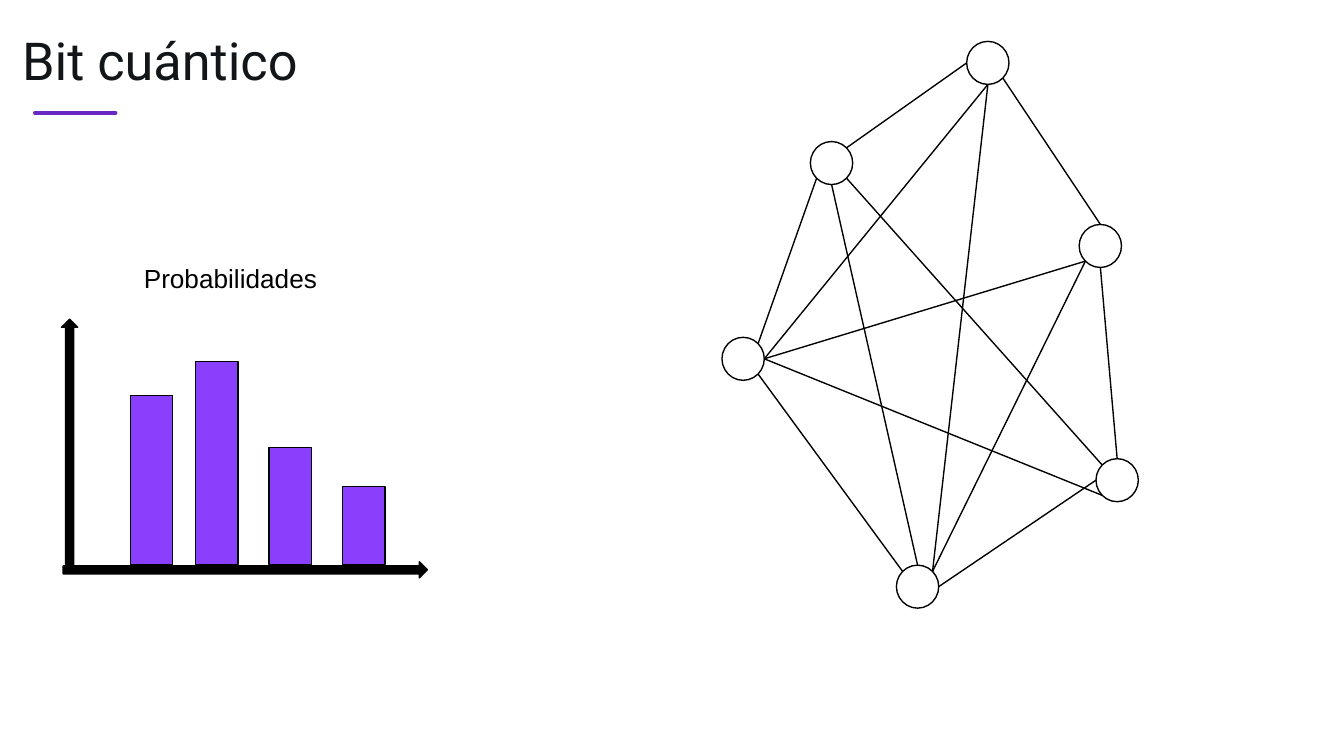
from math import cos, pi, sin

from lxml import etree
from pptx import Presentation
from pptx import util as u
from pptx.dml.color import RGBColor
from pptx.enum import shapes, text
from pptx.oxml.ns import qn

THEME = {
    "ink": RGBColor.from_string("000000"),
    "paper": RGBColor.from_string("FFFFFF"),
    "bar": RGBColor.from_string("8A3FFC"),
    "accent": RGBColor.from_string("6928C3"),
    "title": dict(name="Roboto", size=u.Pt(28), color=RGBColor.from_string("121619")),
    "label": dict(name="Arial", size=u.Pt(14), color=RGBColor.from_string("000000")),
    "thin": u.Pt(0.75),
    "thick": u.Pt(2),
}

prs = Presentation()
prs.slide_width = u.Inches(10)
prs.slide_height = prs.slide_width * 9 // 16
s = prs.slides.add_slide(prs.slide_layouts[6])

# The slide is a grid of 100 columns by 56.25 rows
COL, ROW = prs.slide_width / 100, prs.slide_height / 56.25


def add_solid(kind, x, y, w, h, fill):
    sp = s.shapes.add_shape(kind, *map(round, (x * COL, y * ROW, w * COL, h * ROW)))
    sp.shadow.inherit = False
    sp.fill.solid()
    sp.fill.fore_color.rgb = fill
    sp.line.color.rgb = THEME["ink"]
    sp.line.width = THEME["thin"]
    return sp


def add_line(start, end, color, width):
    (x1, y1), (x2, y2) = start, end
    cx = s.shapes.add_connector(
        shapes.MSO_CONNECTOR.STRAIGHT, *map(round, (x1 * COL, y1 * ROW, x2 * COL, y2 * ROW)))
    cx.line.color.rgb = color
    cx.line.width = width
    etree.SubElement(cx._element.spPr, qn("a:effectLst"))
    return cx


# Heading and chart label
rule = add_line((2.6, 8.4), (8.6, 8.4), THEME["accent"], THEME["thick"])
rule._element.spPr.find(qn("a:ln")).set("cap", "rnd")

for words, style, spacing, box in (
    ("Bit cuántico", "title", 0.9, (1.65, 2.6, 65.5, 4.1)),
    ("Probabilidades", "label", 1.1, (10.7, 19.3, 13.2, 5.8)),
):
    x, y, w, h = box
    tf = s.shapes.add_textbox(*map(round, (x * COL, y * ROW, w * COL, h * ROW))).text_frame
    frame = dict(word_wrap=True, vertical_anchor=text.MSO_ANCHOR.TOP,
                 margin_left=0, margin_top=0, margin_right=0, margin_bottom=0)
    for key, value in frame.items():
        setattr(tf, key, value)
    p = tf.paragraphs[0]
    p.line_spacing = spacing
    r = p.add_run()
    r.text = words
    for key, value in THEME[style].items():
        if key == "color":
            r.font.color.rgb = value
        else:
            setattr(r.font, key, value)

# Probability bars stand on one baseline
BASE, BAR_W = 42.02, 3.15
for x, height in ((9.7, 12.6), (14.57, 15.1), (20.03, 8.7), (25.5, 5.8)):
    add_solid(shapes.MSO_SHAPE.RECTANGLE, x, BASE - height, BAR_W, height, THEME["bar"])

# Axes
for x, y, length, turn in ((4.7, 41.8, 27.1, 0), (-3.97, 32.3, 18.3, 270)):
    axis = add_solid(shapes.MSO_SHAPE.RIGHT_ARROW, x, y, length, 1.2, THEME["ink"])
    axis.rotation = turn

# Graph nodes by their top left corner
NODE_W, NODE_H = 3.15, 3.2
nodes = {
    "upper left": (60.3, 10.53),
    "upper right": (80.3, 16.7),
    "left": (53.72, 25.1),
    "bottom": (66.7, 42.05),
    "top": (71.93, 3.08),
    "lower right": (81.55, 34.13),
}
for x, y in nodes.values():
    add_solid(shapes.MSO_SHAPE.OVAL, x, y, NODE_W, NODE_H, THEME["paper"])

# Each edge runs between two nodes, leaving and arriving at a compass point
COMPASS = ("E", "SE", "S", "SW", "W", "NW", "N", "NE")
edges = (
    ("bottom", "E", "lower right", "W"),
    ("lower right", "N", "upper right", "S"),
    ("upper right", "N", "top", "SE"),
    ("top", "W", "upper left", "NE"),
    ("upper left", "SW", "left", "NE"),
    ("left", "SE", "bottom", "NW"),
    ("bottom", "NE", "top", "S"),
    ("upper left", "SE", "lower right", "NW"),
    ("left", "E", "upper right", "SW"),
    ("bottom", "NE", "upper right", "SW"),
    ("bottom", "N", "upper left", "S"),
    ("left", "E", "top", "S"),
    ("left", "E", "lower right", "SW"),
)
for first, leaving, second, arriving in edges:
    ends = []
    for node, side in ((first, leaving), (second, arriving)):
        x, y = nodes[node]
        angle = COMPASS.index(side) * pi / 4
        ends.append((x + NODE_W / 2 * (1 + cos(angle)), y + NODE_H / 2 * (1 + sin(angle))))
    add_line(*ends, THEME["ink"], THEME["thin"])

prs.save("out.pptx")
